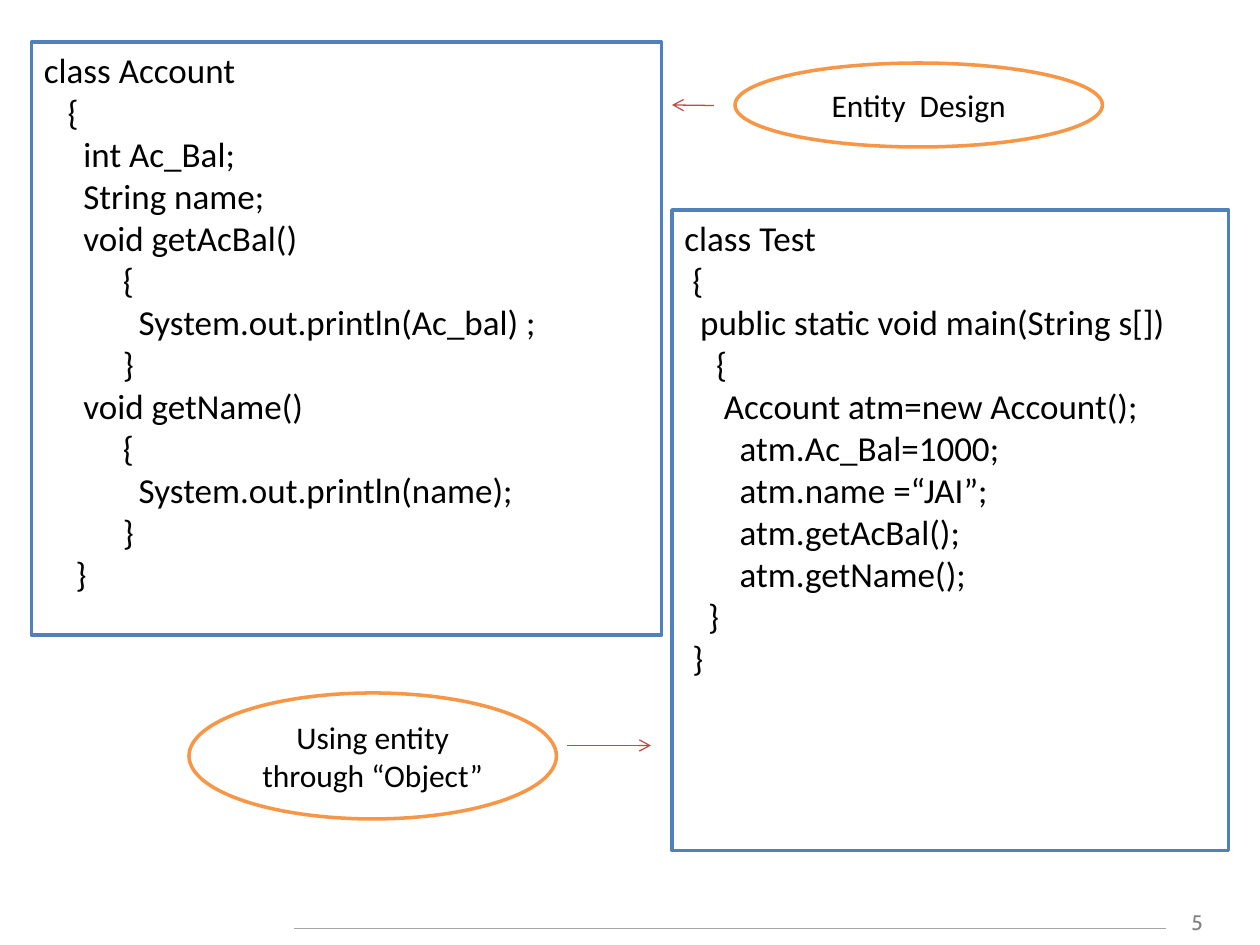
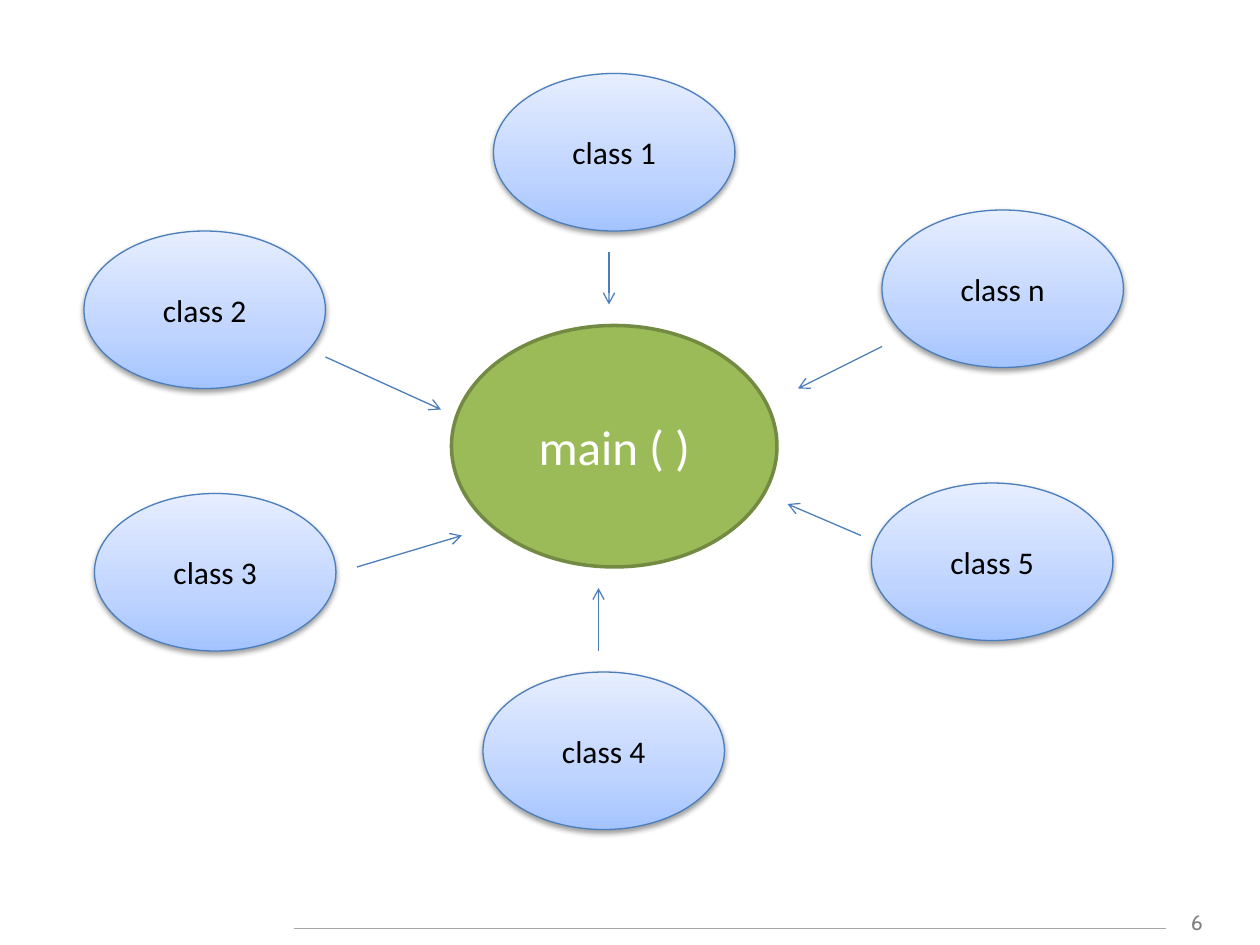
from dataclasses import dataclass

from pptx import Presentation
from pptx.dml.color import RGBColor as Rgb
from pptx.enum.shapes import MSO_CONNECTOR as Link, MSO_SHAPE as Form
from pptx.enum.text import MSO_ANCHOR as Anchor, PP_ALIGN as Align
from pptx.oxml import parse_xml
from pptx.oxml.ns import nsdecls, qn
from pptx.util import Pt


@dataclass(frozen=True)
class Theme:
    font: str = "Calibri"
    foot_font: str = "Cabin"
    white: str = "FFFFFF"
    black: str = "000000"
    blue: str = "4F81BD"
    orange: str = "F79646"
    red: str = "BF4C48"
    green: str = "9BBB59"
    moss: str = "738A42"
    steel: str = "4B7EBC"
    gray: str = "808080"
    rule: str = "A6A6A6"
    fade: tuple = ((0, "A4C4FF"), (35, "BFD4FF"), (100, "E6EEFF"))
    thin: float = 0.75
    thick: float = 2
    foot: int = 12
    label: int = 18
    code: int = 20
    main: int = 28
    space: float = 4.52


T = Theme()
NODE = (138, 90)

ACCOUNT = """class Account
   {
     int Ac_Bal;
     String name;
     void getAcBal()
          {
            System.out.println(Ac_bal) ;
          }
     void getName()
          {
            System.out.println(name);
          }
    }"""

TEST = """class Test
 {
  public static void main(String s[])
    {
     Account atm=new Account();
       atm.Ac_Bal=1000;
       atm.name =“JAI”;
       atm.getAcBal();
       atm.getName();
   }
 }"""

NODES = (
    ("class 1", 282, 42, (348, 144), (348, 174)),
    ("class 2", 48, 132, (186, 204), (252, 234)),
    ("class 3", 54, 282, (204, 324), (264, 306)),
    ("class 4", 276, 384, (342, 372), (342, 336)),
    ("class 5", 498, 276, (492, 306), (450, 288)),
    ("class n", 504, 120, (504, 198), (456, 222)),
)


def style(para, size, color, align, font=T.font):
    para.alignment = align
    for run in para.runs:
        run.font.size = Pt(size)
        run.font.name = font
        run.font.color.rgb = Rgb.from_string(color)


def add_form(slide, form, box, fill, edge, width):
    shape = slide.shapes.add_shape(form, *map(Pt, box))
    shape.shadow.inherit = False
    shape.fill.solid()
    shape.fill.fore_color.rgb = Rgb.from_string(fill)
    shape.line.color.rgb = Rgb.from_string(edge)
    shape.line.width = Pt(width)
    return shape


def add_code(slide, box, code):
    frame = add_form(slide, Form.RECTANGLE, box, T.white, T.blue, T.thick).text_frame
    frame.vertical_anchor = Anchor.TOP
    lines = code.splitlines()
    frame.text = "\n".join(line.lstrip() for line in lines)
    for para, line in zip(frame.paragraphs, lines):
        style(para, T.code, T.black, Align.LEFT)
        depth = len(line) - len(line.lstrip())
        para._p.get_or_add_pPr().set("marL", str(Pt(depth * T.space)))


def add_oval(slide, box, text, fill, edge, width=T.thick, size=T.label, color=T.black):
    oval = add_form(slide, Form.OVAL, box, fill, edge, width)
    frame = oval.text_frame
    frame.vertical_anchor = Anchor.MIDDLE
    frame.text = text
    style(frame.paragraphs[0], size, color, Align.CENTER)
    return oval


def add_node(slide, left, top, text):
    oval = add_oval(slide, (left, top, *NODE), text, T.white, T.steel, T.thin)
    oval.fill.gradient()
    oval.fill.gradient_angle = 90
    props = oval._element.spPr
    stops = props.find(".//" + qn("a:gsLst"))
    for stop in list(stops):
        stops.remove(stop)
    for place, color in T.fade:
        stops.append(parse_xml(
            f'<a:gs {nsdecls("a")} pos="{place * 1000}"><a:srgbClr val="{color}"/></a:gs>'))
    props.find(qn("a:effectLst")).append(parse_xml(
        f'<a:outerShdw {nsdecls("a")} blurRad="{Pt(3.1)}" dist="{Pt(1.6)}" '
        f'dir="5400000" rotWithShape="0"><a:srgbClr val="{T.black}">'
        '<a:alpha val="38000"/></a:srgbClr></a:outerShdw>'))


def add_line(slide, start, end, color, arrow=True):
    line = slide.shapes.add_connector(Link.STRAIGHT, *map(Pt, start + end))
    line.line.color.rgb = Rgb.from_string(color)
    line.line.width = Pt(T.thin)
    props = line._element.spPr
    if arrow:
        props.find(qn("a:ln")).append(
            parse_xml(f'<a:tailEnd {nsdecls("a")} type="arrow"/>'))
    props.append(parse_xml(f'<a:effectLst {nsdecls("a")}/>'))


def add_page(deck, number):
    slide = deck.slides.add_slide(deck.slide_layouts[6])
    frame = slide.shapes.add_textbox(*map(Pt, (666, 516, 36, 21.6))).text_frame
    frame.word_wrap = True
    frame.text = str(number)
    style(frame.paragraphs[0], T.foot, T.gray, Align.CENTER, T.foot_font)
    add_line(slide, (168, 530.6), (666, 530.6), T.rule, arrow=False)
    return slide


def build_code(deck):
    slide = add_page(deck, 5)
    add_code(slide, (18, 24, 360, 339), ACCOUNT)
    add_code(slide, (384, 120, 318, 366), TEST)
    add_oval(slide, (420, 36, 210, 48), "Entity  Design", T.white, T.orange)
    add_oval(slide, (108, 396, 210, 72), "Using entity through “Object”", T.white, T.orange)
    add_line(slide, (408, 60.3), (384, 60), T.red)
    add_line(slide, (324, 426), (372, 426), T.red)


def build_star(deck):
    slide = add_page(deck, 6)
    add_oval(slide, (258, 186, 186, 138), "main ( )", T.green, T.moss,
             size=T.main, color=T.white)
    for text, left, top, start, end in NODES:
        add_node(slide, left, top, text)
        add_line(slide, start, end, T.steel)


def main():
    deck = Presentation()
    deck.slide_width, deck.slide_height = Pt(720), Pt(540)
    build_code(deck)
    build_star(deck)
    deck.save("out.pptx")


if __name__ == "__main__":
    main()
